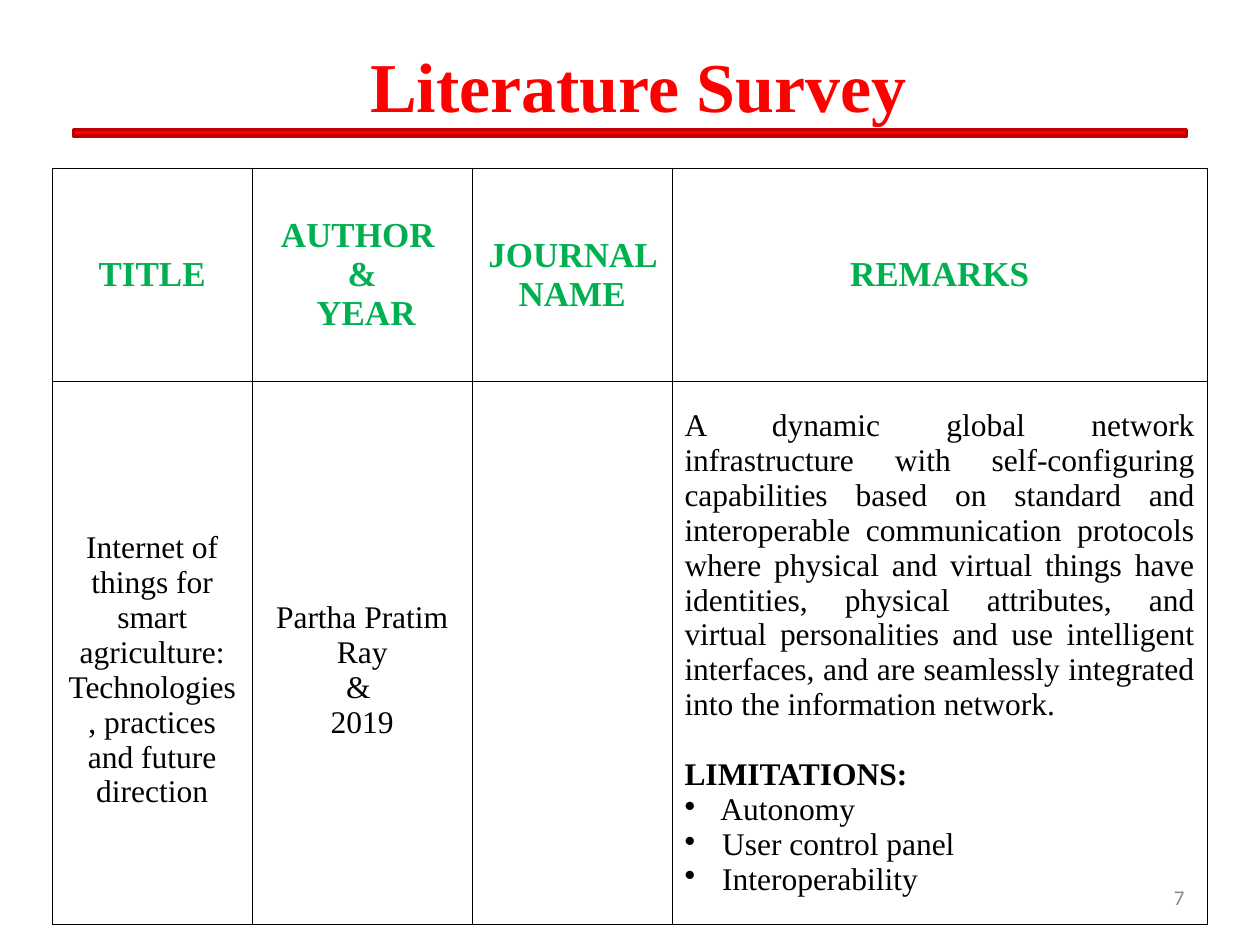
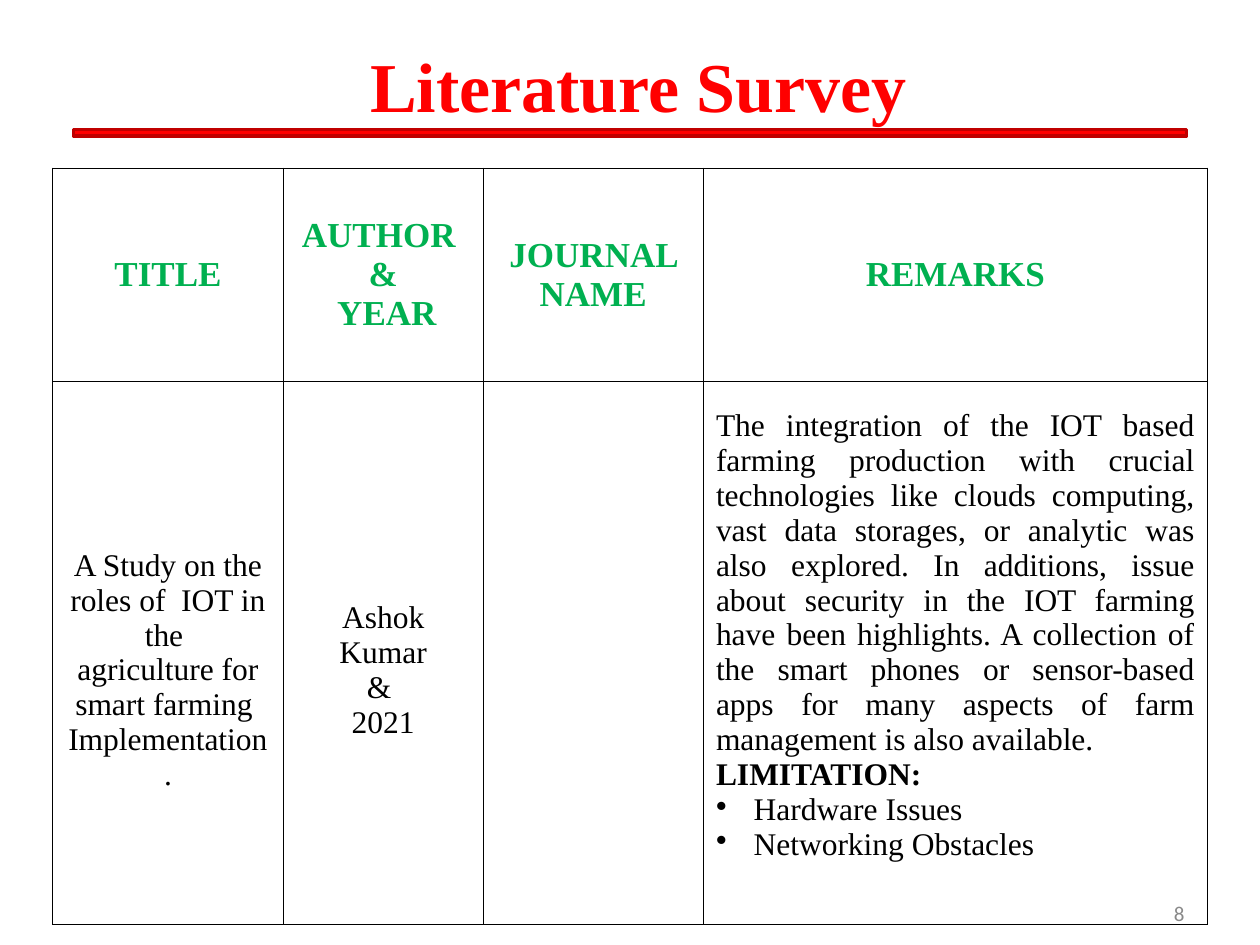
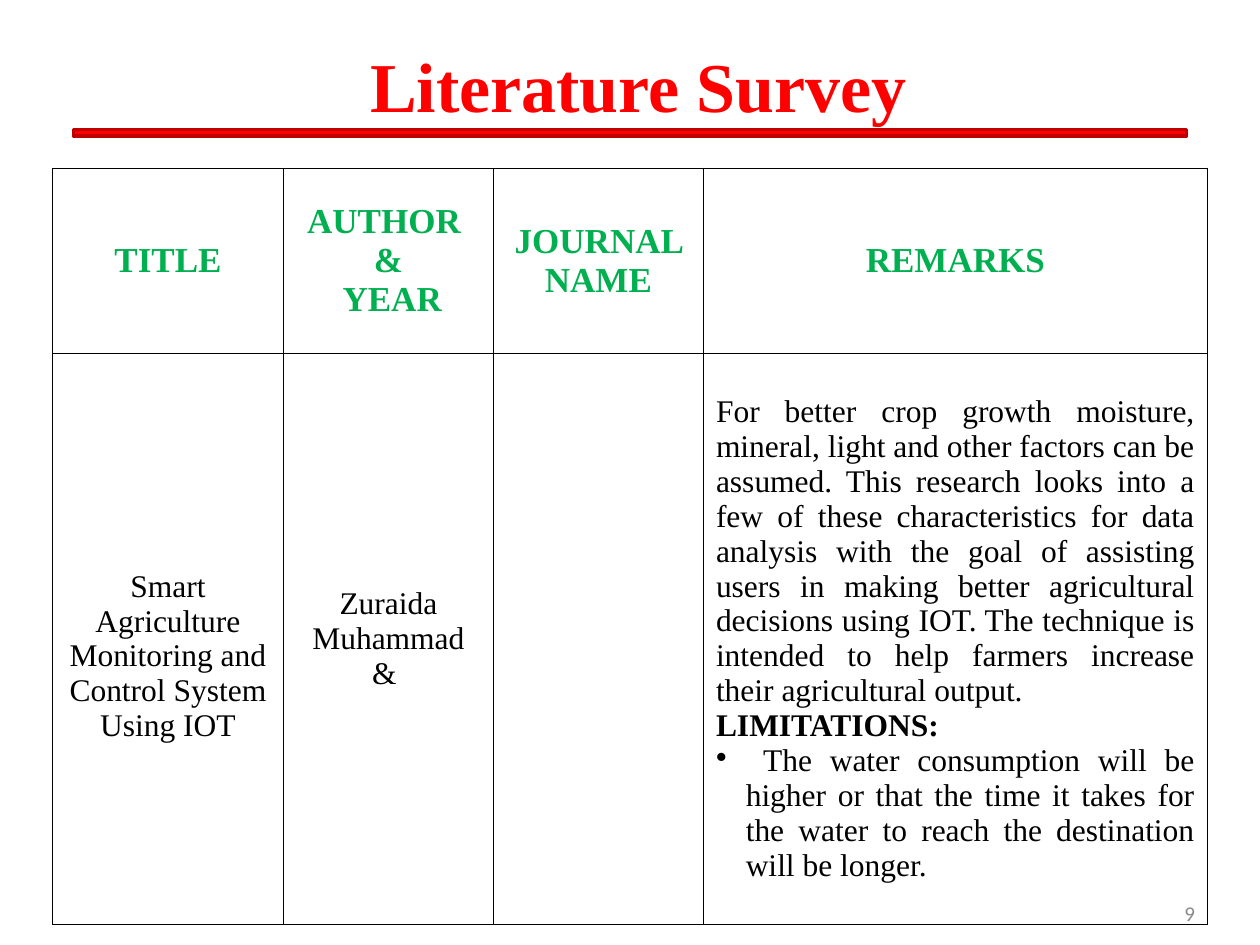
"""Build three literature survey slides, each with a title, a red bar and a table."""
import pptx
import pptx.dml.color
import pptx.enum.shapes
import pptx.enum.text
import pptx.oxml
import pptx.oxml.ns
import pptx.util

Pt = pptx.util.Pt
RGBColor = pptx.dml.color.RGBColor
ALIGN = pptx.enum.text.PP_ALIGN
MIDDLE = pptx.enum.text.MSO_ANCHOR.MIDDLE

RED = RGBColor(0xFF, 0x00, 0x00)
DARK = RGBColor(0xC0, 0x00, 0x00)
GREEN = RGBColor(0x00, 0xB0, 0x50)
BLACK = RGBColor(0x00, 0x00, 0x00)
GREY = RGBColor(0x89, 0x89, 0x89)

SERIF = "Times New Roman"
LINE = 20
INSET = 3.6
HANG = 17
HEADS = [["TITLE"], ["AUTHOR ", "&", " YEAR"], ["JOURNAL NAME"], ["REMARKS"]]

PAPERS = [
    {
        "page": "7", "spot": (516, 498, 168, 29),
        "cols": (114, 126, 114, 306), "rows": (122, 310),
        "title": ["Internet of things for smart agriculture:",
                  "Technologies, practices and future direction"],
        "author": ["Partha Pratim Ray", "& ", "2019"],
        "body": "A dynamic global network infrastructure with self-configuring "
                "capabilities based on standard and interoperable communication "
                "protocols where physical and virtual things have identities, "
                "physical attributes, and virtual personalities and use intelligent "
                "interfaces, and are seamlessly integrated into the information "
                "network.",
        "label": "LIMITATIONS:", "gap": LINE,
        "limits": [" Autonomy", " User control panel", " Interoperability"],
    },
    {
        "page": "8", "spot": (516, 504, 168, 36),
        "cols": (132, 114, 126, 288), "rows": (122, 310),
        "title": ["A Study on the roles of  IOT in the ",
                  "agriculture for smart farming ", "Implementation."],
        "author": ["Ashok Kumar", "& ", "2021"],
        "body": "The integration of the IOT based farming production with crucial "
                "technologies like clouds computing, vast data storages, or analytic "
                "was also explored. In additions, issue about security in the IOT "
                "farming have been highlights. A collection of the smart phones or "
                "sensor-based apps for many aspects of farm management is also "
                "available.",
        "label": "LIMITATION:", "foot": LINE,
        "limits": [" Hardware Issues", " Networking Obstacles"],
    },
    {
        "page": "9", "spot": (522, 504, 168, 36),
        "cols": (132, 120, 120, 288), "rows": (106, 326),
        "title": ["Smart Agriculture Monitoring and Control System Using IOT"],
        "author": ["Zuraida Muhammad", "& "], "under": LINE,
        "body": "For better crop growth moisture, mineral, light and other factors "
                "can be assumed. This research looks into a few of these "
                "characteristics for data analysis with the goal of assisting users "
                "in making better agricultural decisions using IOT. The technique is "
                "intended to help farmers increase their agricultural output.",
        "label": "LIMITATIONS:",
        "limits": [" The water consumption will be higher or that the time it takes "
                   "for the water to reach the destination will be longer."],
    },
]


def write(frame, text, size=18, font=SERIF, color=BLACK, bold=False,
          align=ALIGN.CENTER, before=0, dot=False):
    """Add one formatted paragraph to a text frame."""
    first = frame.paragraphs[0]
    para = frame.add_paragraph() if first.runs else first
    para.alignment = align
    para.space_before = Pt(before)
    run = para.add_run()
    run.text = text
    run.font.size = Pt(size)
    run.font.name = font
    run.font.bold = bold
    run.font.color.rgb = color
    if dot:
        props = para._p.get_or_add_pPr()
        props.set("marL", str(Pt(HANG)))
        props.set("indent", str(-Pt(HANG)))
        mark = pptx.oxml.parse_xml(
            f'<a:buChar {pptx.oxml.ns.nsdecls("a")} char="\u2022"/>')
        props.append(mark)


def add_box(slide, spot, text, **style):
    """Add a text box with one line of text, centred in height."""
    frame = slide.shapes.add_textbox(*map(Pt, spot)).text_frame
    frame.word_wrap = True
    frame.vertical_anchor = MIDDLE
    write(frame, text, **style)


def add_bar(slide):
    """Add the red bar under the title."""
    bar = slide.shapes.add_shape(
        pptx.enum.shapes.MSO_SHAPE.RECTANGLE, Pt(42), Pt(74), Pt(636), Pt(3.6))
    bar.shadow.inherit = False
    bar.fill.solid()
    bar.fill.fore_color.rgb = RED
    bar.line.color.rgb = DARK
    bar.line.width = Pt(2)


def frame_cell(cell):
    """Give a cell thin black borders, no fill and a middle anchor."""
    props = cell._tc.get_or_add_tcPr()
    for side in "LRTB":
        props.append(pptx.oxml.parse_xml(
            f'<a:ln{side} {pptx.oxml.ns.nsdecls("a")} w="{Pt(0.45)}">'
            f'<a:solidFill><a:srgbClr val="{BLACK}"/></a:solidFill></a:ln{side}>'))
    cell.fill.background()
    cell.vertical_anchor = MIDDLE


def fill_cell(cell, lines, above=0, below=0, **style):
    """Write lines in a cell, with extra room above or below them."""
    cell.margin_top = Pt(INSET + above)
    cell.margin_bottom = Pt(INSET + below)
    for line in lines:
        write(cell.text_frame, line, **style)


def add_grid(slide, paper):
    """Add the table that describes one paper."""
    cols, rows = paper["cols"], paper["rows"]
    grid = slide.shapes.add_table(
        len(rows), len(cols), Pt(30), Pt(96), Pt(sum(cols)), Pt(sum(rows))).table
    grid.first_row = grid.horz_banding = False
    for col, width in zip(grid.columns, cols):
        col.width = Pt(width)
    for row, height in zip(grid.rows, rows):
        row.height = Pt(height)
    for cell in grid.iter_cells():
        frame_cell(cell)
    for num, head in enumerate(HEADS):
        fill_cell(grid.cell(0, num), head, size=20, color=GREEN, bold=True)
    fill_cell(grid.cell(1, 0), paper["title"], above=LINE)
    fill_cell(grid.cell(1, 1), paper["author"], above=LINE,
              below=paper.get("under", 0))
    notes = grid.cell(1, 3)
    side = ALIGN.JUSTIFY
    fill_cell(notes, [paper["body"]], below=paper.get("foot", 0), align=side)
    write(notes.text_frame, paper["label"], bold=True, align=side,
          before=paper.get("gap", 0))
    for limit in paper["limits"]:
        write(notes.text_frame, limit, align=side, dot=True)


def main():
    """Build and save the deck."""
    deck = pptx.Presentation()
    deck.slide_width, deck.slide_height = Pt(720), Pt(540)
    for paper in PAPERS:
        slide = deck.slides.add_slide(deck.slide_layouts[6])
        add_bar(slide)
        add_box(slide, (36, 0, 648, 96), " Literature Survey",
                size=40, color=RED, bold=True)
        add_grid(slide, paper)
        add_box(slide, paper["spot"], paper["page"], size=12, font="Calibri",
                color=GREY, align=ALIGN.RIGHT)
    deck.save("out.pptx")


main()
